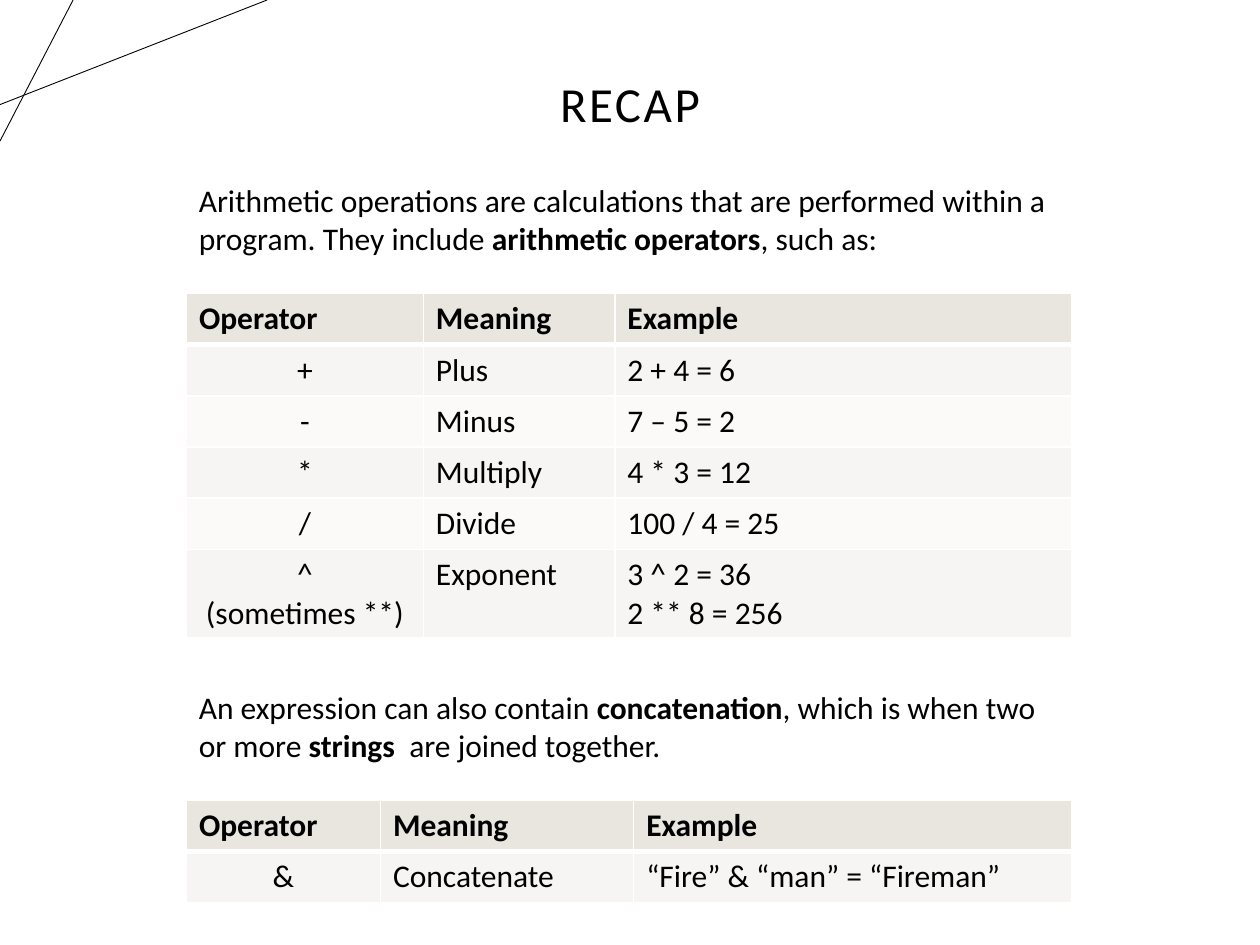
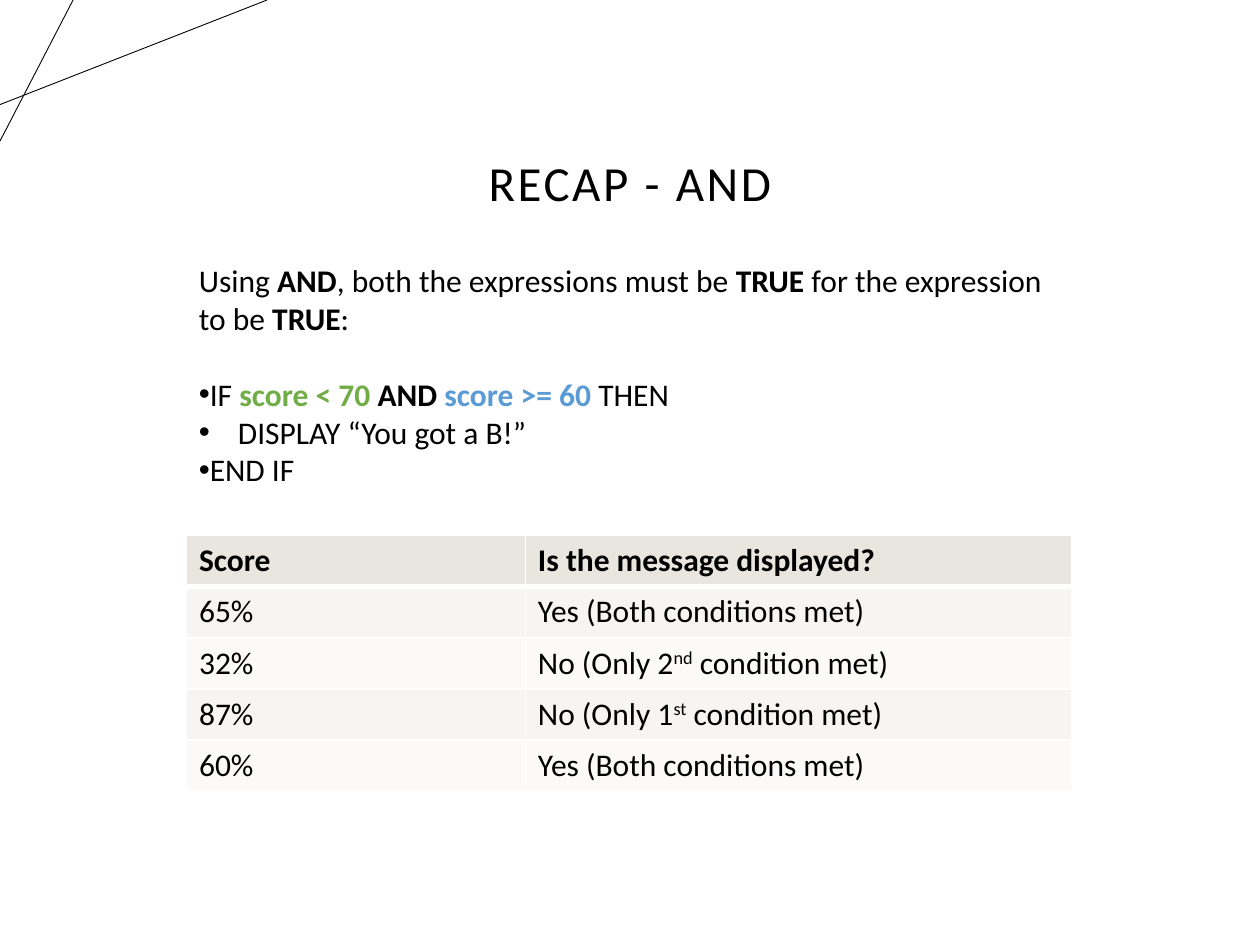
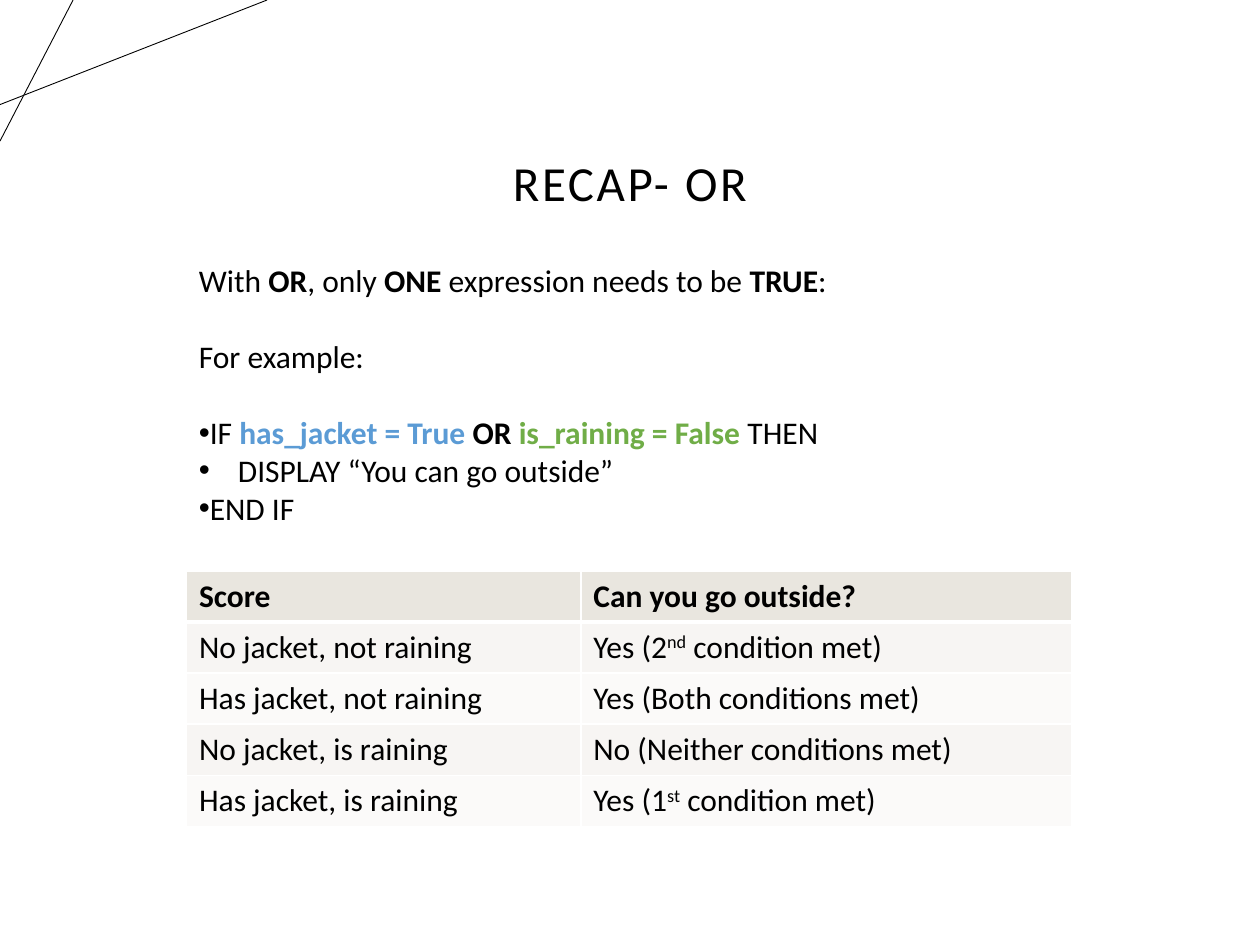
from dataclasses import dataclass
from typing import Any

from lxml.etree import SubElement
from pptx import Presentation
from pptx.dml.color import RGBColor
from pptx.enum.shapes import MSO_CONNECTOR
from pptx.enum.text import MSO_ANCHOR, MSO_AUTO_SIZE, PP_ALIGN
from pptx.oxml.ns import qn
from pptx.slide import Slide
from pptx.util import Inches, Pt


# Theme and grid
@dataclass(frozen=True)
class Theme:
    font: str = "Calibri"
    ink: str = "000000"
    paper: str = "FFFFFF"
    green: str = "70AD47"
    blue: str = "5B9BD5"
    header_fill: str = "E9E6DF"
    band_fills: tuple[str, str] = ("F7F5F3", "FBFAF9")
    title_size: float = 28
    body_size: float = 18
    paragraph_gap: float = 22
    corner_line: float = 0.5
    cell_line: float = 1
    header_line: float = 3


THEME = Theme()
SLIDE_WIDTH, SLIDE_HEIGHT = Inches(10), Inches(7.5)
GRID_COLUMNS, GRID_ROWS = 100, 75
CONTENT_LEFT, CONTENT_WIDTH = 14.8, 70.3
TABLE_ROW = 4.06
HANGING = 3.1
CORNER_LINES = (((0, 8.3), (21.2, 0)), ((5.8, 0), (0, 11.2)))


def across(columns: float) -> int:
    return round(SLIDE_WIDTH * columns / GRID_COLUMNS)


def down(rows: float) -> int:
    return round(SLIDE_HEIGHT * rows / GRID_ROWS)


# Content types
@dataclass(frozen=True)
class Span:
    text: str
    bold: bool = False
    color: str = THEME.ink
    raised: bool = False


@dataclass(frozen=True)
class Line:
    spans: tuple[Span, ...]
    bullet: bool = False
    indent: float = 0
    gap_after: float = 0


@dataclass(frozen=True)
class Passage:
    top: float
    height: float
    lines: tuple[Line, ...]
    width: float = CONTENT_WIDTH


@dataclass(frozen=True)
class Grid:
    top: float
    columns: tuple[float, ...]
    header: tuple[str, ...]
    body: tuple[tuple[Any, ...], ...]
    centred_first: bool = False


@dataclass(frozen=True)
class Recap:
    title: str
    title_top: float
    passages: tuple[Passage, ...]
    grids: tuple[Grid, ...]


def strong(text: str, color: str = THEME.ink) -> Span:
    return Span(text, bold=True, color=color)


def line(*parts: str | Span, **options: Any) -> Line:
    spans = tuple(Span(part) if isinstance(part, str) else part for part in parts)
    return Line(spans, **options)


def ordinal(before: str, suffix: str) -> Line:
    return line(before, Span(suffix, raised=True), " condition met)")


def code(condition: tuple[str | Span, ...], message: str) -> tuple[Line, ...]:
    return (
        line("IF ", *condition, "THEN", bullet=True),
        line(f"DISPLAY “{message}”", bullet=True, indent=HANGING),
        line("END IF", bullet=True),
    )


# Drawing
def apply(target: Any, values: dict[str, Any]) -> None:
    for name, value in values.items():
        setattr(target, name, value)


def write(paragraph: Any, span: Span, size: float = THEME.body_size) -> Any:
    run = paragraph.add_run()
    run.text = span.text
    apply(run.font, {"name": THEME.font, "size": Pt(size), "bold": span.bold})
    run.font.color.rgb = RGBColor.from_string(span.color)
    properties = run._r.get_or_add_rPr()
    if span.raised:
        properties.set("baseline", "30000")
    return properties


def fill_frame(frame: Any, lines: tuple[Line, ...], align: PP_ALIGN = PP_ALIGN.LEFT) -> None:
    for index, entry in enumerate(lines):
        paragraph = frame.paragraphs[0] if index == 0 else frame.add_paragraph()
        apply(paragraph, {"alignment": align, "space_after": Pt(entry.gap_after)})
        if entry.bullet:
            properties = paragraph._p.get_or_add_pPr()
            properties.set("marL", str(across(entry.indent)))
            properties.set("indent", str(-across(HANGING)))
            SubElement(properties, qn("a:buFont"), typeface="Arial")
            SubElement(properties, qn("a:buChar"), char="•")
        for span in entry.spans:
            write(paragraph, span)


def draw_corner(slide: Slide) -> None:
    for (x1, y1), (x2, y2) in CORNER_LINES:
        stroke = slide.shapes.add_connector(
            MSO_CONNECTOR.STRAIGHT, across(x1), down(y1), across(x2), down(y2))
        stroke.line.width = Pt(THEME.corner_line)
        stroke.line.color.rgb = RGBColor.from_string(THEME.ink)
        SubElement(stroke._element.spPr, qn("a:effectLst"))


def draw_title(slide: Slide, title: str, top: float) -> None:
    heading = slide.shapes.add_textbox(across(6.9), down(top), across(86.2), down(14.5))
    apply(heading.text_frame, {"word_wrap": True, "vertical_anchor": MSO_ANCHOR.MIDDLE})
    paragraph = heading.text_frame.paragraphs[0]
    apply(paragraph, {"alignment": PP_ALIGN.CENTER, "line_spacing": 0.9})
    write(paragraph, Span(title), THEME.title_size).set("spc", "150")


def draw_passage(slide: Slide, passage: Passage) -> None:
    frame = slide.shapes.add_textbox(
        across(CONTENT_LEFT), down(passage.top),
        across(passage.width), down(passage.height)).text_frame
    apply(frame, {"word_wrap": True, "auto_size": MSO_AUTO_SIZE.SHAPE_TO_FIT_TEXT})
    fill_frame(frame, passage.lines)


def style_cell(cell: Any, fill: str, row: int) -> None:
    top = THEME.header_line if row == 1 else THEME.cell_line
    bottom = THEME.header_line if row == 0 else THEME.cell_line
    properties = cell._tc.get_or_add_tcPr()
    sides = {"L": THEME.cell_line, "R": THEME.cell_line, "T": top, "B": bottom}
    for side, width in sides.items():
        border = SubElement(properties, qn(f"a:ln{side}"), w=str(Pt(width)))
        paint = SubElement(border, qn("a:solidFill"))
        SubElement(paint, qn("a:srgbClr"), val=THEME.paper)
    cell.fill.solid()
    cell.fill.fore_color.rgb = RGBColor.from_string(fill)


def cell_lines(content: Any) -> tuple[Line, ...]:
    if isinstance(content, Line):
        return (content,)
    return tuple(line(text) for text in content.split("\n"))


def draw_grid(slide: Slide, grid: Grid) -> None:
    rows = (tuple(line(strong(name)) for name in grid.header), *grid.body)
    table = slide.shapes.add_table(
        len(rows), len(grid.columns), across(CONTENT_LEFT), down(grid.top),
        across(sum(grid.columns)), down(TABLE_ROW * len(rows))).table
    table.horz_banding = False
    for column, width in zip(table.columns, grid.columns):
        column.width = across(width)
    for r, contents in enumerate(rows):
        cells = [cell_lines(content) for content in contents]
        extra_lines = max(map(len, cells)) - 1
        table.rows[r].height = down(TABLE_ROW + 3 * extra_lines)
        fill = THEME.band_fills[(r - 1) % 2] if r else THEME.header_fill
        for c, lines in enumerate(cells):
            centred = grid.centred_first and r > 0 and c == 0
            cell = table.cell(r, c)
            style_cell(cell, fill, r)
            fill_frame(cell.text_frame, lines, PP_ALIGN.CENTER if centred else PP_ALIGN.LEFT)


# Slide content
OPERATOR_HEADER = ("Operator", "Meaning", "Example")
BOTH_MET = "Yes (Both conditions met)"

RECAPS = (
    Recap(
        "RECAP", 1.2,
        (
            Passage(13.9, 7.1, (line(
                "Arithmetic operations are calculations that are performed within a "
                "program. They include ", strong("arithmetic operators"), ", such as:"),)),
            Passage(54.1, 7.1, (line(
                "An expression can also contain ", strong("concatenation"),
                ", which is when two or more ", strong("strings "),
                " are joined together."),)),
        ),
        (
            Grid(23.3, (18.8, 15.2, 36.3), OPERATOR_HEADER, (
                ("+", "Plus", "2 + 4 = 6"),
                ("-", "Minus", "7 – 5 = 2"),
                ("*", "Multiply", "4 * 3 = 12"),
                ("/", "Divide", "100 / 4 = 25"),
                ("^\n(sometimes **)", "Exponent", "3 ^ 2 = 36\n2 ** 8 = 256"),
            ), centred_first=True),
            Grid(63.5, (15.4, 20.1, 34.8), OPERATOR_HEADER, (
                ("&", "Concatenate", "“Fire” & “man” = “Fireman”"),
            ), centred_first=True),
        ),
    ),
    Recap(
        "RECAP - AND", 7.5,
        (Passage(20.2, 19.2, (
            line("Using ", strong("AND"), ", both the expressions must be ",
                 strong("TRUE"), " for the expression to be ", strong("TRUE"), ":",
                 gap_after=THEME.paragraph_gap),
            *code((strong("score < 70 ", THEME.green), strong("AND "),
                   strong("score >= 60 ", THEME.blue)), "You got a B!"),
        ), width=71.5),),
        (Grid(42.5, (26.9, 43.4), ("Score", "Is the message displayed?"), (
            ("65%", BOTH_MET),
            ("32%", ordinal("No (Only 2", "nd")),
            ("87%", ordinal("No (Only 1", "st")),
            ("60%", BOTH_MET),
        )),),
    ),
    Recap(
        "RECAP- OR", 7.5,
        (Passage(20.2, 25.2, (
            line("With ", strong("OR"), ", only ", strong("ONE"),
                 " expression needs to be ", strong("TRUE"), ":",
                 gap_after=THEME.paragraph_gap),
            line("For example:", gap_after=THEME.paragraph_gap),
            *code((strong("has_jacket = True ", THEME.blue), strong("OR "),
                   strong("is_raining = False ", THEME.green)), "You can go outside"),
        ), width=71.5),),
        (Grid(45.3, (31.3, 39), ("Score", "Can you go outside?"), (
            ("No jacket, not raining", ordinal("Yes (2", "nd")),
            ("Has jacket, not raining", BOTH_MET),
            ("No jacket, is raining", "No (Neither conditions met)"),
            ("Has jacket, is raining", ordinal("Yes (1", "st")),
        )),),
    ),
)


def main() -> None:
    deck = Presentation()
    apply(deck, {"slide_width": SLIDE_WIDTH, "slide_height": SLIDE_HEIGHT})
    for recap in RECAPS:
        slide = deck.slides.add_slide(deck.slide_layouts[6])
        draw_corner(slide)
        draw_title(slide, recap.title, recap.title_top)
        for passage in recap.passages:
            draw_passage(slide, passage)
        for grid in recap.grids:
            draw_grid(slide, grid)
    deck.save("out.pptx")


if __name__ == "__main__":
    main()
